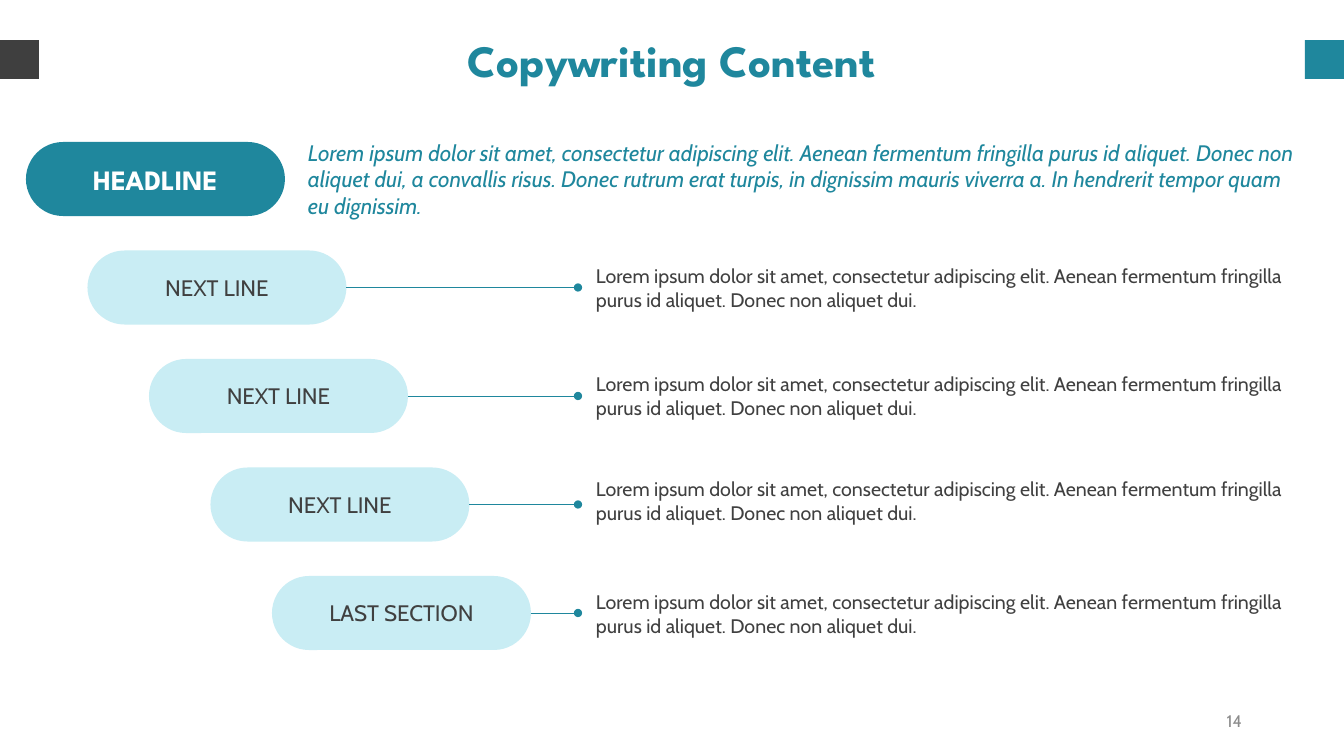
from lxml import etree
from pptx import Presentation
from pptx.dml.color import RGBColor
from pptx.enum.shapes import MSO_CONNECTOR as LINE, MSO_SHAPE as SHAPE
from pptx.enum.text import MSO_ANCHOR as ANCHOR, MSO_AUTO_SIZE as FIT, PP_ALIGN as ALIGN
from pptx.oxml.ns import qn
from pptx.util import Emu, Pt

# Content
TITLE = "Copywriting Content"
PAGE_NUMBER = "14"
HEADLINE = "HEADLINE"
INTRO = ("Lorem ipsum dolor sit amet, consectetur adipiscing elit. Aenean fermentum "
         "fringilla purus id aliquet. Donec non aliquet dui, a convallis risus. Donec "
         "rutrum erat turpis, in dignissim mauris viverra a. In hendrerit tempor quam "
         "eu dignissim.")
NOTE = ("Lorem ipsum dolor sit amet, consectetur adipiscing elit. Aenean fermentum "
        "fringilla purus id aliquet. Donec non aliquet dui.")
# label, note, top of the note in px
STEPS = [
    ("NEXT LINE", NOTE, 264),
    ("NEXT LINE", NOTE, 372),
    ("NEXT LINE", NOTE, 477),
    ("LAST SECTION", NOTE, 590),
]

# Look
COLORS = {"teal": "1F879D", "pale": "C9EDF4", "dark": "3F3F3F",
          "text": "404040", "gray": "8C8C8C", "white": "FFFFFF"}
STYLES = {
    "title": dict(name="League Spartan", size=Pt(32), bold=True, color="teal"),
    "headline": dict(name="League Spartan", size=Pt(20), bold=True, color="white"),
    "step": dict(name="Cabin", size=Pt(16), color="text"),
    "intro": dict(name="Cabin", size=Pt(16), italic=True, color="teal"),
    "note": dict(name="Cabin", size=Pt(14), color="text"),
    "page": dict(name="Cabin", size=Pt(12), color="gray"),
}

# Layout in px
SLIDE_W, SLIDE_H = 1344, 756
TAB, TAB_TOP = 39, 40
PILL_W, PILL_H = 259, 74
FIRST_LEFT, FIRST_TOP = 26, 142
STEP_X, STEP_Y = 123 / 2, 217 / 2
LINE_END = 578
NOTE_LEFT, NOTE_W, NOTE_H = 596, 722, 47


def px(value):
    return Emu(round(value * 914400 / 100.8))


def rgb(key):
    return RGBColor.from_string(COLORS[key])


def write(shape, text, style, align=ALIGN.LEFT, anchor=ANCHOR.MIDDLE, tight=False):
    frame = shape.text_frame
    frame.text = text
    settings = {"word_wrap": True, "vertical_anchor": anchor}
    if tight:
        settings.update(margin_left=0, margin_top=0, margin_right=0,
                        margin_bottom=0, auto_size=FIT.SHAPE_TO_FIT_TEXT)
    for key, value in settings.items():
        setattr(frame, key, value)
    paragraph = frame.paragraphs[0]
    paragraph.alignment = align
    font = paragraph.runs[0].font
    for key, value in STYLES[style].items():
        if key == "color":
            font.color.rgb = rgb(value)
        else:
            setattr(font, key, value)


def add_block(slide, kind, box, fill):
    block = slide.shapes.add_shape(kind, *map(px, box))
    block.shadow.inherit = False
    block.fill.solid()
    block.fill.fore_color.rgb = rgb(fill)
    block.line.fill.background()
    return block


def add_pill(slide, left, top, label, fill, style):
    pill = add_block(slide, SHAPE.ROUNDED_RECTANGLE, (left, top, PILL_W, PILL_H), fill)
    pill.adjustments[0] = 0.5
    write(pill, label, style, ALIGN.CENTER)


def add_text(slide, box, text, style, **options):
    write(slide.shapes.add_textbox(*map(px, box)), text, style, **options)


def add_dotted_end_line(slide, start, y):
    link = slide.shapes.add_connector(LINE.STRAIGHT, px(start), px(y), px(LINE_END), px(y))
    link.line.color.rgb = rgb("teal")
    link.line.width = Pt(0.5)
    properties = link.element.spPr
    etree.SubElement(properties.find(qn("a:ln")), qn("a:tailEnd"), type="oval")
    etree.SubElement(properties, qn("a:effectLst"))


def main():
    deck = Presentation()
    deck.slide_width, deck.slide_height = px(SLIDE_W), px(SLIDE_H)
    slide = deck.slides.add_slide(deck.slide_layouts[5])

    # Title, corner tabs and page number
    title = slide.shapes.title
    title.left, title.top, title.width, title.height = map(px, (69, 33, 1206, 54))
    write(title, TITLE, "title", ALIGN.CENTER, ANCHOR.TOP, tight=True)
    for left, fill in ((SLIDE_W - TAB, "teal"), (0, "dark")):
        add_block(slide, SHAPE.RECTANGLE, (left, TAB_TOP, TAB, TAB), fill)
    add_text(slide, (950, 701, 302, 40), PAGE_NUMBER, "page", align=ALIGN.RIGHT)

    # Headline row
    add_pill(slide, FIRST_LEFT, FIRST_TOP, HEADLINE, "teal", "headline")
    add_text(slide, (308, 138, 997, 82), INTRO, "intro", tight=True)

    # Staircase of steps, each linked to its note
    for row, (label, note, note_top) in enumerate(STEPS, start=1):
        left, top = FIRST_LEFT + row * STEP_X, FIRST_TOP + row * STEP_Y
        add_pill(slide, left, top, label, "pale", "step")
        add_dotted_end_line(slide, left + PILL_W, top + PILL_H / 2)
        add_text(slide, (NOTE_LEFT, note_top, NOTE_W, NOTE_H), note, "note", tight=True)

    deck.save("out.pptx")


if __name__ == "__main__":
    main()
